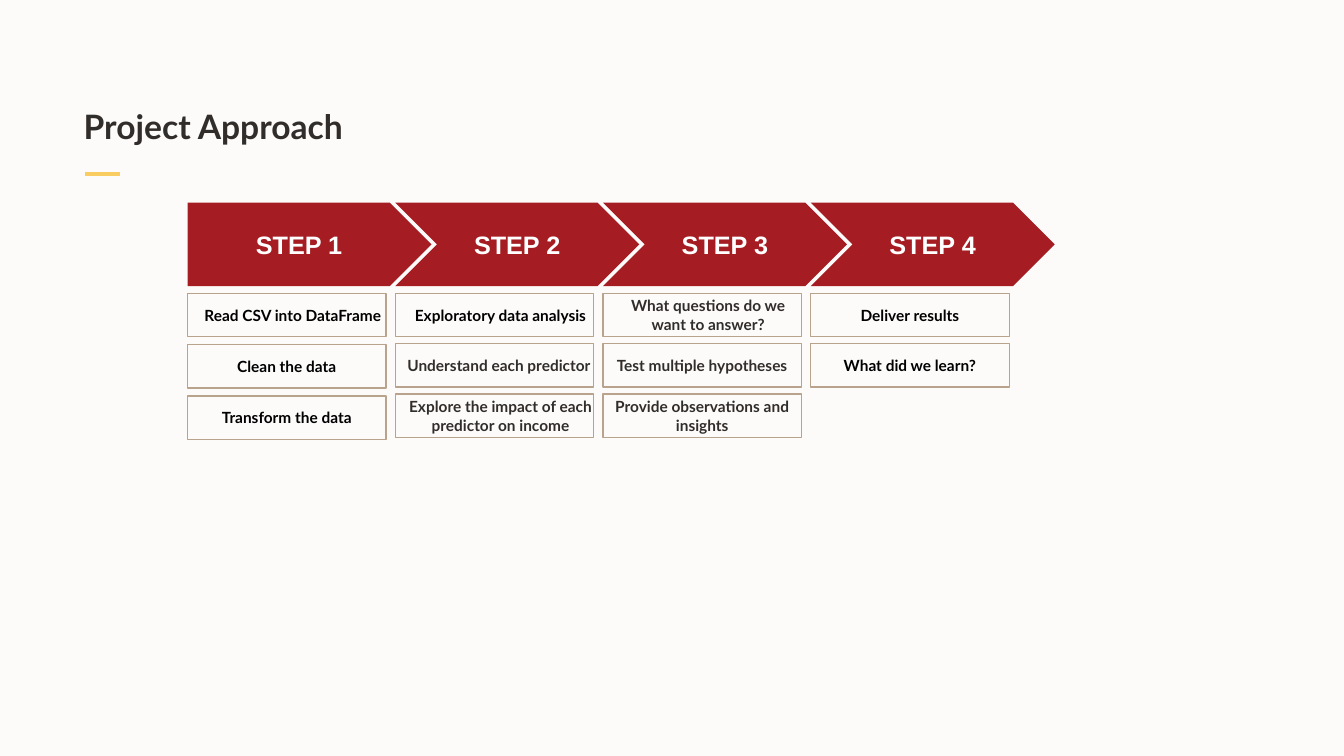
from lxml.etree import SubElement
from pptx import Presentation
from pptx.dml.color import RGBColor
from pptx.enum.shapes import MSO_CONNECTOR, MSO_SHAPE
from pptx.enum.text import MSO_ANCHOR, PP_ALIGN
from pptx.oxml.ns import qn
from pptx.util import Emu, Pt

PX = 9144  # EMU per px, 100 px to the inch

PAPER = RGBColor(0xFC, 0xFB, 0xFA)
INK = RGBColor(0x31, 0x2D, 0x2A)
BLACK = RGBColor(0, 0, 0)
WHITE = RGBColor(0xFF, 0xFF, 0xFF)
CRIMSON = RGBColor(0xA5, 0x1C, 0x22)
TAN = RGBColor(0xBA, 0xA3, 0x8C)
YELLOW = RGBColor(0xFA, 0xCD, 0x62)

TITLE_FONT = {"name": "Lato", "size": Pt(24), "bold": True}
STEP_FONT = {"name": "Arial", "size": Pt(18), "bold": True}
TASK_FONT = {"name": "Lato", "size": Pt(11), "bold": True}

EVEN = (10, 5, 10, 5)
SHIFTED = (12, 5, 0, 5)
CENTER, LEFT = PP_ALIGN.CENTER, PP_ALIGN.LEFT

# Each step: distance between task tops, then (task, colour, insets, alignment)
STEPS = [
    (51, [("Read CSV into DataFrame", BLACK, SHIFTED, CENTER),
          ("Clean the data", BLACK, EVEN, CENTER),
          ("Transform the data", BLACK, EVEN, CENTER)]),
    (50, [("Exploratory data analysis", BLACK, SHIFTED, CENTER),
          ("Understand each predictor", INK, SHIFTED, LEFT),
          ("Explore the impact of each predictor on income", INK, SHIFTED, CENTER)]),
    (50, [("What questions do we want to answer?", INK, SHIFTED, CENTER),
          ("Test multiple hypotheses", INK, EVEN, CENTER),
          ("Provide observations and insights", INK, EVEN, CENTER)]),
    (50, [("Deliver results", BLACK, EVEN, CENTER),
          ("What did we learn?", BLACK, EVEN, CENTER)]),
]


def px(*lengths):
    return [Emu(length * PX) for length in lengths]


def write(holder, words, font, color, insets, align, anchor=MSO_ANCHOR.MIDDLE):
    frame = holder.text_frame
    sides = ("margin_left", "margin_top", "margin_right", "margin_bottom")
    layout = dict(zip(sides, px(*insets)), word_wrap=True, vertical_anchor=anchor)
    for key, value in layout.items():
        setattr(frame, key, value)
    paragraph = frame.paragraphs[0]
    paragraph.text = words
    paragraph.alignment = align
    for key, value in font.items():
        setattr(paragraph.font, key, value)
    paragraph.font.color.rgb = color
    return paragraph


def add_block(slide, preset, box, fill, outline=None):
    block = slide.shapes.add_shape(preset, *px(*box))
    block.shadow.inherit = False
    block.fill.solid()
    block.fill.fore_color.rgb = fill
    if outline is None:
        block.line.fill.background()
    else:
        block.line.color.rgb = outline
        block.line.width = Pt(1)
    return block


def add_heading(slide, left, top, width, height):
    title = slide.shapes.title
    title.left, title.top, title.width, title.height = px(left, top, width, height)
    heading = write(title, "Project Approach", TITLE_FONT, INK,
                    (0, 0, 0, 0), LEFT, MSO_ANCHOR.BOTTOM)
    heading.line_spacing = 0.95

    # Short accent rule below the title
    rule_y = top + height + 27
    accent = slide.shapes.add_connector(
        MSO_CONNECTOR.STRAIGHT, *px(left + 36, rule_y, left + 1, rule_y))
    accent.line.color.rgb = YELLOW
    accent.line.width = Pt(3)
    SubElement(accent._element.spPr, qn("a:effectLst"))


def add_step(slide, number, left, top, pitch, tasks):
    # Arrow with the step number
    preset = MSO_SHAPE.PENTAGON if number == 1 else MSO_SHAPE.CHEVRON
    arrow = add_block(slide, preset, (left, top, 242, 83), CRIMSON)
    write(arrow, f"STEP {number}", STEP_FONT, WHITE, (0, 4, 0, 4), CENTER)

    # Tasks stacked below it
    for row, (task, color, insets, align) in enumerate(tasks):
        box = (left, top + 90 + row * pitch, 197, 43)
        card = add_block(slide, MSO_SHAPE.RECTANGLE, box, PAPER, TAN)
        write(card, task, TASK_FONT, color, insets, align)


def add_process(slide, left, top):
    for index, (pitch, tasks) in enumerate(STEPS):
        add_step(slide, index + 1, left + index * 206, top, pitch, tasks)


def main():
    deck = Presentation()
    deck.slide_width, deck.slide_height = px(1333, 750)
    slide = deck.slides.add_slide(deck.slide_layouts[5])
    slide.background.fill.solid()
    slide.background.fill.fore_color.rgb = PAPER
    add_heading(slide, 83, 56, 1167, 90)
    add_process(slide, 186, 201)
    deck.save("out.pptx")


if __name__ == "__main__":
    main()
